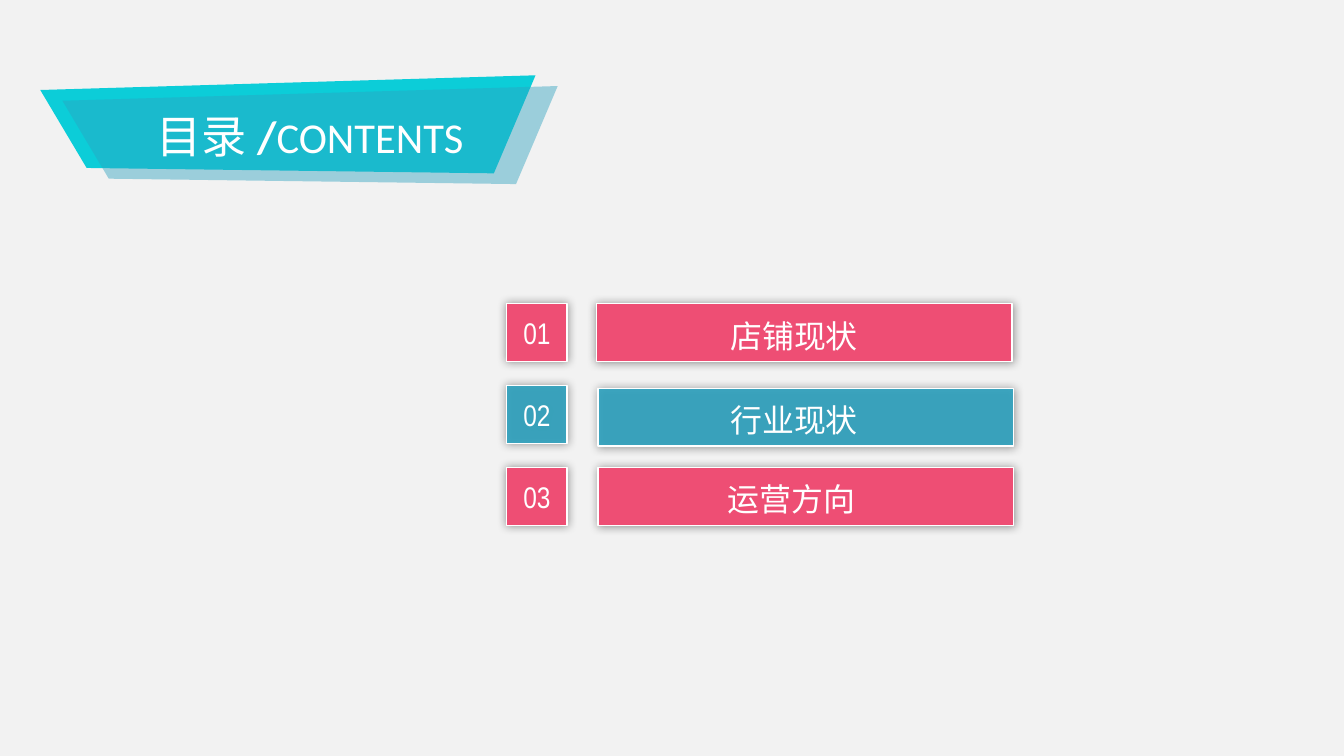
from lxml.etree import SubElement as Sub
from pptx import Presentation
from pptx.dml.color import RGBColor
from pptx.enum.shapes import MSO_SHAPE as Kind
from pptx.enum.text import MSO_ANCHOR as Anchor, PP_ALIGN as Align
from pptx.oxml.ns import qn
from pptx.util import Inches, Pt

PINK = RGBColor(0xEE, 0x4E, 0x74)
BLUE = RGBColor(0x2D, 0xA2, 0xBF)
CYAN = RGBColor(0x0C, 0xCD, 0xD8)
WHITE = RGBColor(0xFF, 0xFF, 0xFF)
GREY = RGBColor(0xF2, 0xF2, 0xF2)
HAN = "Noto Sans CJK SC"

deck = Presentation()
deck.slide_width, deck.slide_height = Inches(10), Inches(5.625)
col, row = deck.slide_width / 100, deck.slide_height / 100
slide = deck.slides.add_slide(deck.slide_layouts[6])
slide.background.fill.solid()
slide.background.fill.fore_color.rgb = GREY


def paint(shape, color, alpha=100):
    shape.shadow.inherit = False
    shape.fill.solid()
    shape.fill.fore_color.rgb = color
    shape.line.fill.background()
    if alpha < 100:
        tint = shape._element.spPr.find(qn("a:solidFill"))[0]
        Sub(tint, qn("a:alpha"), val=str(alpha * 1000))


def write(shape, parts):
    frame = shape.text_frame
    frame.vertical_anchor = Anchor.MIDDLE
    para = frame.paragraphs[0]
    para.alignment = Align.CENTER
    for text, face, size, bold in parts:
        run = para.add_run()
        run.text = text
        run.font.name, run.font.size, run.font.bold = face, Pt(size), bold
        run.font.color.rgb = WHITE
        Sub(run._r.get_or_add_rPr(), qn("a:ea"), typeface=HAN)


edge = [(3, 11.91), (6.45, 22.22), (36.75, 22.93), (39.85, 9.96)]
for dx, dy, color, alpha in [(0, 0, CYAN, 100), (1.65, 1.42, BLUE, 44)]:
    spots = [(round((x + dx) * col), round((y + dy) * row)) for x, y in edge]
    pen = slide.shapes.build_freeform(*spots[0])
    pen.add_line_segments(spots[1:], close=True)
    banner = pen.convert_to_shape()
    paint(banner, color, alpha)
write(banner, [("目录 ", HAN, 24.2, False), ("/", "Calibri", 24.2, True),
               ("CONTENTS", "Calibri", 22.8, False)])

top, step, high = 40.18, 10.84, 7.64
items = [("店铺现状", PINK, 100, 44.4, 53.3, 0),
         ("行业现状", BLUE, 89, 44.5, 53.3, 0.36),
         ("运营方向", PINK, 100, 44.5, 53.1, 0)]
for i, (name, color, alpha, left, inset, drop) in enumerate(items):
    y = top + i * step
    for x, dy, wide in [(37.7, 0, 4.5), (left, drop, 30.9)]:
        box = slide.shapes.add_shape(
            Kind.RECTANGLE, round(x * col), round((y + dy) * row),
            round(wide * col), round(high * row))
        paint(box, color, alpha)
        box.line.color.rgb = WHITE
        box.line.width = Pt(0.75)
        glow = Sub(box._element.spPr.find(qn("a:effectLst")), qn("a:outerShdw"),
                   blurRad=str(Pt(5)), dist="0", dir="0", algn="ctr", rotWithShape="0")
        Sub(Sub(glow, qn("a:srgbClr"), val="000000"), qn("a:alpha"), val="40000")
        if wide < 10:
            box.text_frame.word_wrap = False
            write(box, [(f"{i + 1:02}", "Arial Narrow", 16, False)])
    label = slide.shapes.add_textbox(
        round(inset * col), round((y + drop + 0.71) * row),
        round(11.6 * col), round(6.93 * row))
    label.text_frame.word_wrap = False
    write(label, [(name, "Calibri", 17.1, False)])

deck.save("out.pptx")
